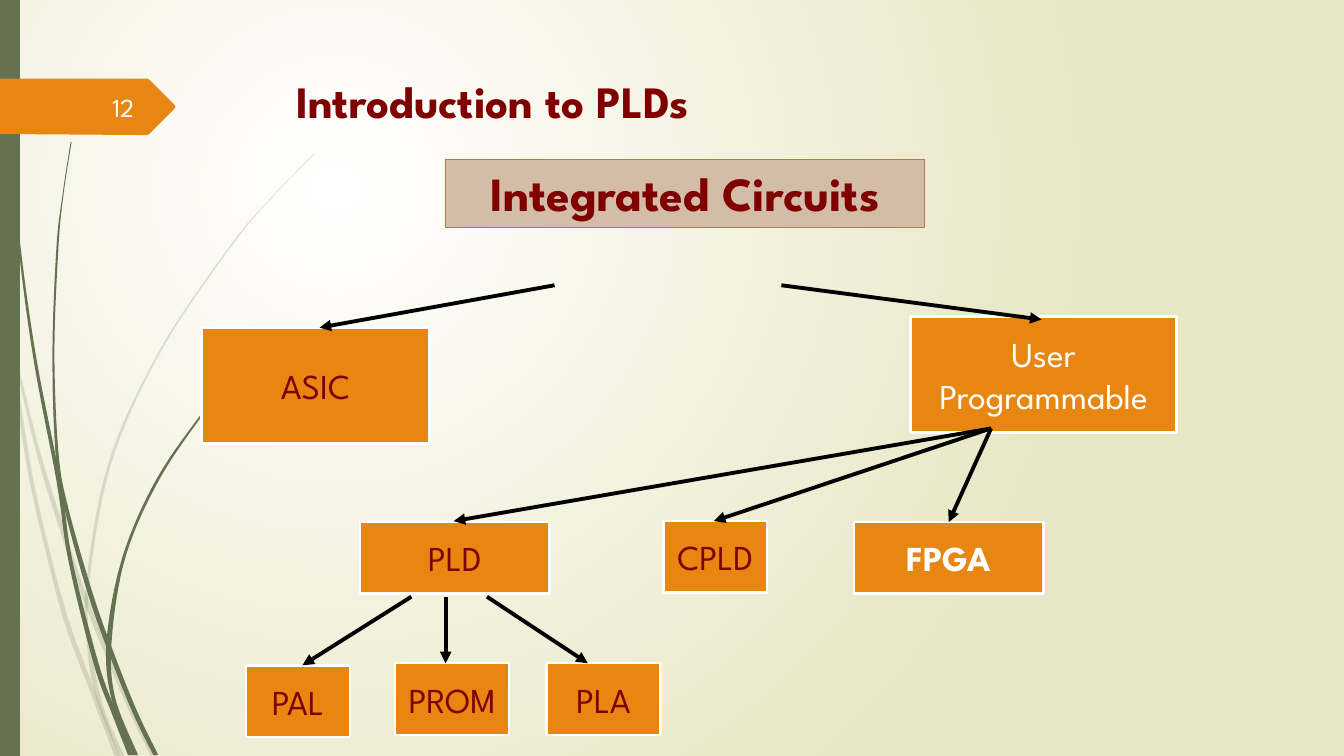
"""Build the slide that introduces PLDs as a tree of integrated circuits."""
from dataclasses import dataclass

import lxml.etree
import pptx
import pptx.dml.color
import pptx.enum.shapes
import pptx.enum.text
import pptx.oxml
import pptx.oxml.ns
import pptx.util

RGBColor = pptx.dml.color.RGBColor
Align = pptx.enum.text.PP_ALIGN
Anchor = pptx.enum.text.MSO_ANCHOR
qn = pptx.oxml.ns.qn

EMU_PER_PX = 9144
FONT = "League Spartan"
WHITE = RGBColor(0xFF, 0xFF, 0xFF)
BLACK = RGBColor(0x00, 0x00, 0x00)
CREAM = RGBColor(0xE8, 0xE6, 0xC4)
GREEN = RGBColor(0x64, 0x72, 0x52)
ORANGE = RGBColor(0xE7, 0x87, 0x12)
MAROON = RGBColor(0x80, 0x00, 0x00)
TAN = RGBColor(0xD3, 0xBD, 0xA9)
BROWN = RGBColor(0xAB, 0x80, 0x45)
PAGE_WHITE = RGBColor(0xFE, 0xFF, 0xFF)


@dataclass(frozen=True)
class Box:
    """A framed node of the tree, in px."""
    text: str
    left: int
    top: int
    width: int
    height: int
    color: RGBColor = MAROON
    bold: bool = False


@dataclass(frozen=True)
class Arrow:
    """A branch of the tree, in px."""
    start: tuple[int, int]
    end: tuple[int, int]


@dataclass(frozen=True)
class Blade:
    """A blade of grass: (left, top, width) along its length, in px."""
    nodes: tuple[tuple[int, int, int], ...]
    opacity: int = 100


BLADES = (
    Blade(((0, 290, 3), (13, 376, 4), (28, 470, 4), (46, 550, 4),
           (65, 621, 5), (92, 693, 5), (114, 751, 5)), 20),
    Blade(((14, 355, 2), (36, 449, 4), (58, 522, 5), (84, 599, 5),
           (123, 694, 5), (150, 751, 5)), 20),
    Blade(((311, 153, 1), (268, 197, 1), (228, 244, 2), (158, 348, 2),
           (107, 461, 3), (85, 584, 3), (87, 646, 4), (93, 683, 5),
           (103, 714, 4), (119, 751, 5)), 20),
    Blade(((3, 0, 1), (7, 110, 1), (17, 233, 2), (33, 355, 3), (56, 477, 4),
           (68, 557, 4), (93, 659, 5), (111, 708, 5), (127, 749, 5))),
    Blade(((70, 141, 1), (62, 193, 1), (56, 245, 2), (52, 349, 2),
           (55, 449, 3), (64, 505, 4), (88, 592, 5), (111, 656, 5),
           (132, 708, 5), (152, 749, 5))),
    Blade(((260, 344, 1), (231, 373, 1), (204, 405, 2), (156, 474, 3),
           (122, 551, 3), (106, 633, 5), (110, 691, 4), (132, 749, 5))),
)
PAGE_TAG = ((0, 78), (146, 78), (148, 79), (173, 104), (174, 106),
            (173, 108), (148, 133), (146, 134), (136, 134), (0, 133))
BOXES = (
    Box("ASIC", 200, 325, 226, 115),
    Box("User\nProgrammable", 903, 314, 264, 115, WHITE),
    Box("PLD", 357, 518, 188, 71),
    Box("CPLD", 658, 517, 103, 71),
    Box("FPGA", 847, 518, 188, 71, WHITE, True),
    Box("PAL", 244, 660, 103, 71),
    Box("PROM", 392, 658, 113, 71),
    Box("PLA", 542, 658, 113, 71),
)
USER_FOOT = (983, 425)
ARROWS = (
    Arrow((550, 283), (317, 325)),
    Arrow((775, 283), (1033, 317)),
    Arrow(USER_FOOT, (450, 517)),
    Arrow(USER_FOOT, (708, 517)),
    Arrow(USER_FOOT, (941, 518)),
    Arrow((408, 592), (300, 660)),
    Arrow((442, 592), (442, 658)),
    Arrow((483, 592), (583, 658)),
)


def px(length: float) -> int:
    """Turn px into EMU."""
    return round(length * EMU_PER_PX)


def smooth(nodes: tuple, steps: int = 8) -> list[tuple[float, ...]]:
    """Sample a Catmull-Rom curve through the nodes."""
    padded = (nodes[0], *nodes, nodes[-1])
    curve = []
    for a, b, c, d in zip(padded, padded[1:], padded[2:], padded[3:]):
        for t in (step / steps for step in range(steps)):
            curve.append(tuple(
                q + t * ((r - p) + t * ((2 * p - 5 * q + 4 * r - s)
                                        + t * (3 * q - p - 3 * r + s))) / 2
                for p, q, r, s in zip(a, b, c, d)))
    return [*curve, nodes[-1]]


def add_outline(slide, points, color: RGBColor, opacity: int = 100) -> None:
    """Draw a closed, filled outline."""
    corners = [(px(x), px(y)) for x, y in points]
    builder = slide.shapes.build_freeform(*corners[0])
    builder.add_line_segments(corners[1:], close=True)
    outline = builder.convert_to_shape()
    outline.shadow.inherit = False
    outline.fill.solid()
    outline.fill.fore_color.rgb = color
    outline.line.fill.background()
    if opacity < 100:
        tint = outline.fill._xPr.find(qn("a:solidFill"))[0]
        lxml.etree.SubElement(tint, qn("a:alpha"), val=str(opacity * 1000))


def add_blade(slide, blade: Blade) -> None:
    """Draw one blade of grass."""
    curve = smooth(blade.nodes)
    left_edge = [(x, y) for x, y, _ in curve]
    right_edge = [(x + width, y) for x, y, width in reversed(curve)]
    add_outline(slide, left_edge + right_edge, GREEN, blade.opacity)


def write(shape, text: str, *, size: float, color: RGBColor, bold: bool = False,
          align=Align.LEFT, anchor=Anchor.TOP, wrap: bool = True) -> None:
    """Fill a shape with formatted text, one paragraph per line."""
    frame = shape.text_frame
    frame.text = text
    frame.word_wrap = wrap
    frame.vertical_anchor = anchor
    for paragraph in frame.paragraphs:
        paragraph.alignment = align
        paragraph.font.name = FONT
        paragraph.font.size = pptx.util.Pt(size)
        paragraph.font.bold = bold
        paragraph.font.color.rgb = color


def add_panel(slide, left: int, top: int, width: int, height: int,
              fill: RGBColor, line: RGBColor, line_width: float):
    """Draw a rectangle and return it."""
    panel = slide.shapes.add_shape(pptx.enum.shapes.MSO_SHAPE.RECTANGLE,
                                   px(left), px(top), px(width), px(height))
    panel.shadow.inherit = False
    panel.fill.solid()
    panel.fill.fore_color.rgb = fill
    panel.line.color.rgb = line
    panel.line.width = pptx.util.Pt(line_width)
    return panel


def add_arrow(slide, arrow: Arrow) -> None:
    """Draw a branch with an arrowhead at its end."""
    branch = slide.shapes.add_connector(
        pptx.enum.shapes.MSO_CONNECTOR.STRAIGHT,
        *map(px, arrow.start), *map(px, arrow.end))
    branch.line.color.rgb = BLACK
    branch.line.width = pptx.util.Pt(2.75)
    lxml.etree.SubElement(branch.line._get_or_add_ln(), qn("a:tailEnd"), type="triangle")
    lxml.etree.SubElement(branch._element.spPr, qn("a:effectLst"))


def paint_background(slide) -> None:
    """Give the slide a circular gradient."""
    fill = slide.background.fill
    fill.gradient()
    for stop, position, color in zip(fill.gradient_stops, (0, 1), (WHITE, CREAM)):
        stop.position = position
        stop.color.rgb = color
    gradient = fill._xPr.find(qn("a:gradFill"))
    linear = gradient.find(qn("a:lin"))
    circle = lxml.etree.Element(qn("a:path"), path="circle")
    lxml.etree.SubElement(circle, qn("a:fillToRect"),
                          l="50000", t="50000", r="100000", b="100000")
    gradient.replace(linear, circle)


def main() -> None:
    """Build and save the slide."""
    deck = pptx.Presentation()
    deck.slide_width, deck.slide_height = px(1333), px(750)
    slide = deck.slides.add_slide(deck.slide_layouts[6])
    paint_background(slide)
    for blade in BLADES:
        add_blade(slide, blade)
    add_outline(slide, ((0, 0), (20, 0), (20, 750), (0, 750)), GREEN)
    add_outline(slide, PAGE_TAG, ORANGE)

    title = slide.shapes.add_textbox(px(284), px(68), px(975), px(140))
    write(title, "Introduction to PLDs", size=32, color=MAROON, bold=True)
    page = slide.shapes.add_textbox(px(58), px(86), px(85), px(40))
    write(page, "12", size=18.5, color=PAGE_WHITE, align=Align.RIGHT, anchor=Anchor.MIDDLE)
    root = add_panel(slide, 442, 158, 475, 68, TAN, BROWN, 0.75)
    write(root, "Integrated Circuits", size=34, color=MAROON, bold=True, align=Align.CENTER)

    for box in BOXES:
        node = add_panel(slide, box.left, box.top, box.width, box.height, ORANGE, WHITE, 1.75)
        write(node, box.text, size=25, color=box.color, bold=box.bold,
              align=Align.CENTER, anchor=Anchor.MIDDLE, wrap=False)
    for arrow in ARROWS:
        add_arrow(slide, arrow)
    deck.save("out.pptx")


if __name__ == "__main__":
    main()
